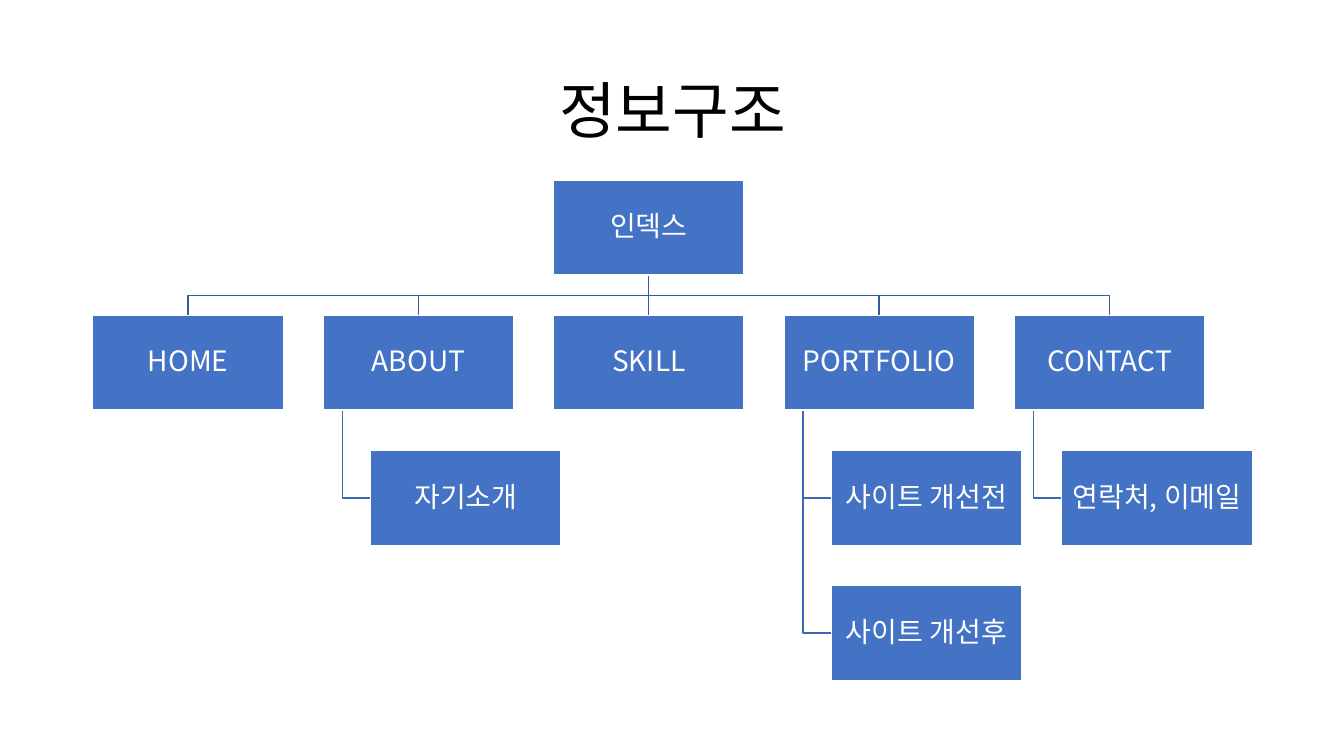
from lxml.etree import SubElement
from pptx import Presentation
from pptx.dml.color import RGBColor
from pptx.enum.shapes import MSO_SHAPE
from pptx.enum.text import MSO_ANCHOR, PP_ALIGN
from pptx.oxml.ns import qn
from pptx.util import Inches, Pt

FONT = "Noto Sans CJK KR"
COLORS = {
    "title": "000000",
    "box": "4472C4",
    "box_text": "FFFFFF",
    "trunk": "365B9D",
    "branch": "3E67B2",
}

BOX_WIDTH, BOX_HEIGHT = 1.89, 0.94
FIRST_LEFT, LAST_LEFT = 0.92, 10.06
ROOT_TOP, ROW_STEP = 1.79, 1.34
CHILD_INDENT = 0.47
STEM_INDENT = 0.19

ROOT = "인덱스"
MENU = [
    ("HOME", []),
    ("ABOUT", ["자기소개"]),
    ("SKILL", []),
    ("PORTFOLIO", ["사이트 개선전", "사이트 개선후"]),
    ("CONTACT", ["연락처, 이메일"]),
]


class SiteMap:
    """Holds the style and the current slide."""

    def __init__(self, slide):
        """Keep the slide to draw on."""
        self.slide = slide

    def color(self, name):
        """Return a named colour."""
        return RGBColor.from_string(COLORS[name])

    def label(self, shape, text, size, color):
        """Put one centred paragraph into a shape."""
        frame = shape.text_frame
        frame.text = text
        frame.word_wrap = True
        frame.vertical_anchor = MSO_ANCHOR.MIDDLE
        paragraph = frame.paragraphs[0]
        paragraph.alignment = PP_ALIGN.CENTER
        paragraph.line_spacing = 0.9
        font = paragraph.font
        font.size = Pt(size)
        font.color.rgb = self.color(color)
        font.name = FONT
        properties = paragraph._p.pPr.find(qn("a:defRPr"))
        SubElement(properties, qn("a:ea")).set("typeface", FONT)

    def title(self, text):
        """Place and fill the title placeholder."""
        shape = self.slide.shapes.title
        shape.left, shape.top = Inches(0.92), Inches(0.4)
        shape.width, shape.height = Inches(11.5), Inches(1.45)
        self.label(shape, text, 44, "title")

    def box(self, left, top, text):
        """Draw one page of the site as a labelled box."""
        shape = self.slide.shapes.add_shape(
            MSO_SHAPE.RECTANGLE, Inches(left), Inches(top),
            Inches(BOX_WIDTH), Inches(BOX_HEIGHT))
        shape.shadow.inherit = False
        shape.fill.solid()
        shape.fill.fore_color.rgb = self.color("box")
        shape.line.color.rgb = self.color("box_text")
        shape.line.width = Pt(1)
        frame = shape.text_frame
        frame.margin_left = frame.margin_right = Inches(0.01)
        frame.margin_top = frame.margin_bottom = Inches(0.01)
        self.label(shape, text, 20, "box_text")

    def elbow(self, points, color):
        """Draw an open line through the given points."""
        start, *rest = [(Inches(x), Inches(y)) for x, y in points]
        builder = self.slide.shapes.build_freeform(*start)
        builder.add_line_segments(rest, close=False)
        shape = builder.convert_to_shape()
        shape.shadow.inherit = False
        shape.fill.background()
        shape.line.color.rgb = self.color(color)
        shape.line.width = Pt(1)


def row_top(row):
    """Return the top of a row of boxes."""
    return ROOT_TOP + row * ROW_STEP


def draw_tree(site_map):
    """Draw the lines first, then the boxes over them."""
    column_step = (LAST_LEFT - FIRST_LEFT) / (len(MENU) - 1)
    root_left = (FIRST_LEFT + LAST_LEFT) / 2
    root_center = root_left + BOX_WIDTH / 2
    root_bottom = ROOT_TOP + BOX_HEIGHT
    menu_top = row_top(1)
    bus = (root_bottom + menu_top) / 2
    boxes = [(root_left, ROOT_TOP, ROOT)]

    for column, (page, children) in enumerate(MENU):
        left = FIRST_LEFT + column * column_step
        center = left + BOX_WIDTH / 2
        boxes.append((left, menu_top, page))
        if page == "SKILL":
            trunk = [(root_center, root_bottom), (root_center, menu_top)]
        else:
            trunk = [(root_center, root_bottom), (root_center, bus),
                     (center, bus), (center, menu_top)]
        site_map.elbow(trunk, "trunk")

        stem = left + STEM_INDENT
        child_left = left + CHILD_INDENT
        for row, child in enumerate(children, start=2):
            middle = row_top(row) + BOX_HEIGHT / 2
            site_map.elbow([(stem, menu_top + BOX_HEIGHT), (stem, middle),
                            (child_left, middle)], "branch")
            boxes.append((child_left, row_top(row), child))

    for left, top, text in boxes:
        site_map.box(left, top, text)


def main():
    """Build and save the slide."""
    presentation = Presentation()
    presentation.slide_width = Inches(13.33)
    presentation.slide_height = Inches(7.5)
    slide = presentation.slides.add_slide(presentation.slide_layouts[5])
    site_map = SiteMap(slide)
    site_map.title("정보구조")
    draw_tree(site_map)
    presentation.save("out.pptx")


main()
